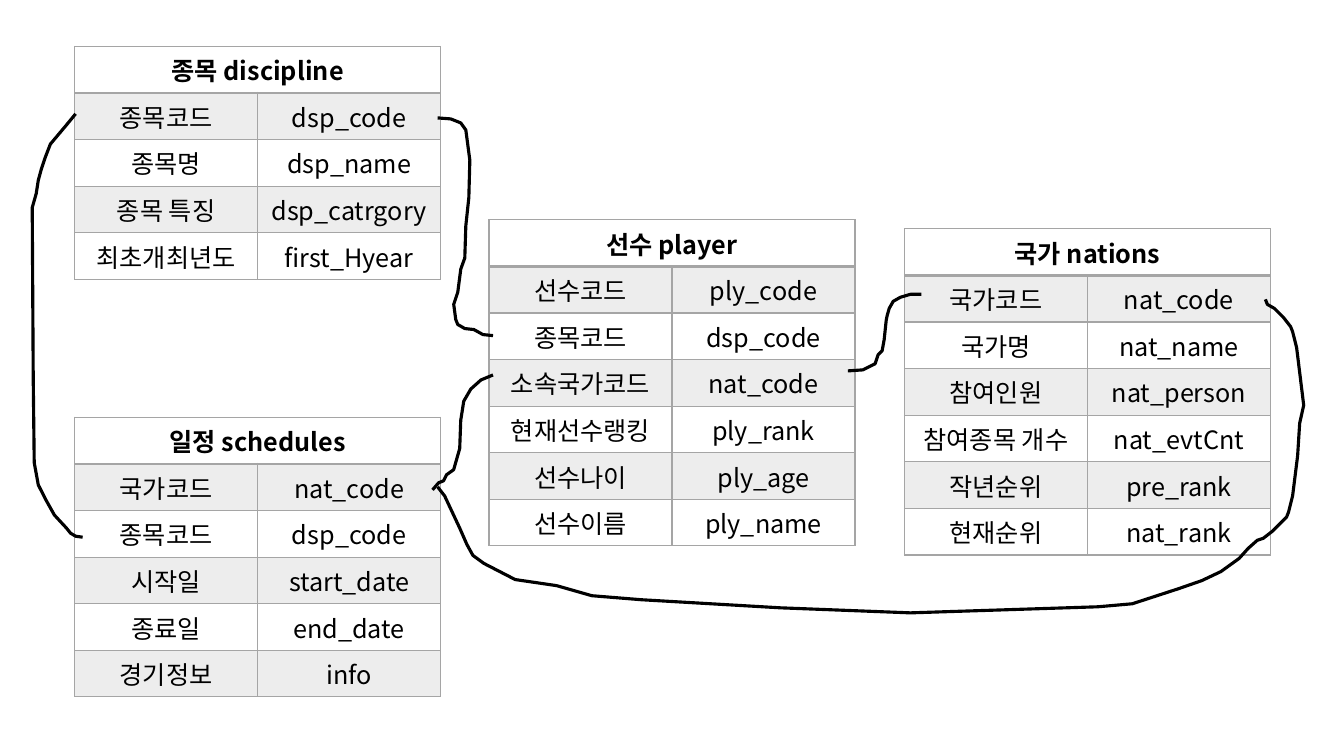
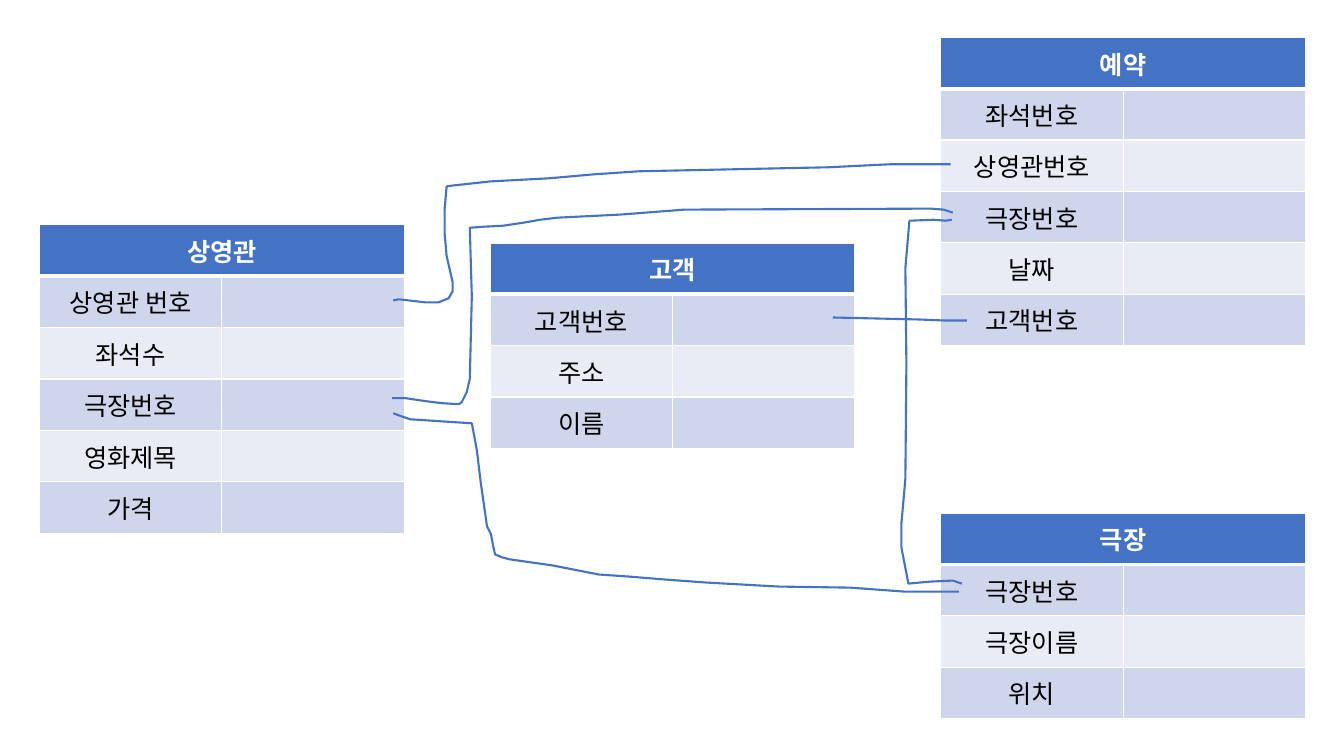
from dataclasses import dataclass

from lxml.etree import SubElement
from pptx import Presentation
from pptx.dml.color import RGBColor
from pptx.enum.text import MSO_ANCHOR, PP_ALIGN
from pptx.oxml.ns import qn
from pptx.slide import Slide
from pptx.table import _Cell
from pptx.util import Inches, Pt

COLORS = {
    "black": "000000",
    "white": "FFFFFF",
    "gray": "A5A5A5",
    "pale_gray": "EDEDED",
    "blue": "4472C4",
    "blue_band": "CFD5EA",
    "pale_blue": "E9EBF5",
}
FONT = "Noto Sans CJK KR"
TEXT_SIZE = 18
Point = tuple[float, float]


@dataclass(frozen=True)
class DiagramStyle:
    table_width: float
    row_height: float
    header_fill: str
    header_text: str
    bands: tuple[str, str]
    border: str
    header_rule: float
    wire_color: str
    wire_width: float


@dataclass(frozen=True)
class Entity:
    title: str
    left: float
    top: float
    fields: list[tuple[str, str]]


@dataclass(frozen=True)
class Diagram:
    style: DiagramStyle
    entities: list[Entity]
    wires: list[list[Point]]


GRAY_STYLE = DiagramStyle(
    3.63, 0.45, "white", "black", ("pale_gray", "white"), "gray", 2, "black", 2.25
)
BLUE_STYLE = DiagramStyle(
    3.62, 0.51, "blue", "white", ("blue_band", "pale_blue"), "white", 3, "blue", 1.5
)


def unnamed(*labels: str) -> list[tuple[str, str]]:
    return [(label, "") for label in labels]


SPORTS = Diagram(
    GRAY_STYLE,
    [
        Entity("종목 discipline", 0.74, 0.46, [
            ("종목코드", "dsp_code"),
            ("종목명", "dsp_name"),
            ("종목 특징", "dsp_catrgory"),
            ("최초개최년도", "first_Hyear"),
        ]),
        Entity("선수 player", 4.85, 2.18, [
            ("선수코드", "ply_code"),
            ("종목코드", "dsp_code"),
            ("소속국가코드", "nat_code"),
            ("현재선수랭킹", "ply_rank"),
            ("선수나이", "ply_age"),
            ("선수이름", "ply_name"),
        ]),
        Entity("국가 nations", 8.97, 2.27, [
            ("국가코드", "nat_code"),
            ("국가명", "nat_name"),
            ("참여인원", "nat_person"),
            ("참여종목 개수", "nat_evtCnt"),
            ("작년순위", "pre_rank"),
            ("현재순위", "nat_rank"),
        ]),
        Entity("일정 schedules", 0.74, 4.14, [
            ("국가코드", "nat_code"),
            ("종목코드", "dsp_code"),
            ("시작일", "start_date"),
            ("종료일", "end_date"),
            ("경기정보", "info"),
        ]),
    ],
    [
        [(0.75, 1.13), (0.66, 1.24), (0.5, 1.43), (0.45, 1.56), (0.41, 1.68),
         (0.38, 1.79), (0.36, 1.92), (0.32, 2.06), (0.33, 3.75), (0.34, 4.59),
         (0.38, 4.81), (0.45, 4.95), (0.54, 5.11), (0.66, 5.24), (0.7, 5.29),
         (0.75, 5.32), (0.82, 5.33)],
        [(4.89, 3.72), (4.77, 3.77), (4.67, 3.86), (4.6, 3.98), (4.57, 4.17),
         (4.56, 4.45), (4.5, 4.66), (4.43, 4.71), (4.4, 4.77), (4.35, 4.79),
         (4.29, 4.86)],
        [(4.34, 4.83), (4.41, 4.92), (4.56, 5.24), (4.63, 5.4), (4.69, 5.51),
         (4.8, 5.59), (5.11, 5.75), (5.52, 5.81), (5.87, 5.91), (6.36, 5.95),
         (7.74, 6.03), (9.03, 6.08), (10.89, 6.02), (11.23, 5.99),
         (11.69, 5.84), (11.92, 5.76), (12.11, 5.67), (12.29, 5.54),
         (12.38, 5.44), (12.47, 5.36), (12.53, 5.34), (12.62, 5.27),
         (12.76, 5.13), (12.78, 5.08), (12.82, 4.92), (12.87, 4.52),
         (12.89, 4.2), (12.93, 4.02), (12.86, 3.45), (12.82, 3.29),
         (12.8, 3.24), (12.73, 3.15), (12.64, 3.06), (12.57, 3.02),
         (12.55, 2.97)],
        [(4.34, 1.17), (4.47, 1.18), (4.57, 1.22), (4.62, 1.29), (4.66, 1.59),
         (4.65, 1.96), (4.62, 2.24), (4.61, 2.56), (4.57, 2.67), (4.54, 2.9),
         (4.5, 3.02), (4.52, 3.17), (4.54, 3.22), (4.61, 3.26), (4.7, 3.27),
         (4.79, 3.32), (4.89, 3.33)],
        [(8.41, 3.68), (8.56, 3.67), (8.68, 3.61), (8.71, 3.52), (8.75, 3.48),
         (8.77, 3.37), (8.79, 3.18), (8.8, 3.13), (8.82, 3.06), (8.86, 2.99),
         (8.93, 2.95), (9.03, 2.92), (9.14, 2.92)],
    ],
)

CINEMA = Diagram(
    BLUE_STYLE,
    [
        Entity("상영관", 0.39, 2.23,
               unnamed("상영관 번호", "좌석수", "극장번호", "영화제목", "가격")),
        Entity("고객", 4.86, 2.41, unnamed("고객번호", "주소", "이름")),
        Entity("예약", 9.33, 0.37,
               unnamed("좌석번호", "상영관번호", "극장번호", "날짜", "고객번호")),
        Entity("극장", 9.33, 5.09, unnamed("극장번호", "극장이름", "위치")),
    ],
    [
        [(9.44, 2.18), (9.38, 2.19), (9.26, 2.18), (9.02, 2.19), (8.98, 2.66),
         (8.99, 3.61), (8.98, 4.75), (8.94, 5.2), (8.94, 5.43), (9.01, 5.79),
         (9.12, 5.78), (9.23, 5.77), (9.45, 5.76), (9.54, 5.79)],
        [(8.26, 3.15), (9.11, 3.17), (9.37, 3.18), (9.59, 3.18)],
        [(9.45, 2.11), (9.36, 2.08), (9.23, 2.07), (6.79, 2.08), (6.14, 2.13),
         (5.53, 2.16), (5.36, 2.18), (5.19, 2.21), (4.99, 2.24), (4.79, 2.25),
         (4.66, 2.26), (4.68, 2.94), (4.66, 3.76), (4.63, 3.89), (4.58, 3.99),
         (4.55, 4.01), (4.38, 4), (4.22, 3.98), (4.02, 3.95), (3.89, 3.95)],
        [(3.9, 4.1), (3.98, 4.13), (4.07, 4.16), (4.68, 4.2), (4.73, 4.47),
         (4.77, 4.8), (4.83, 5.22), (4.87, 5.3), (4.89, 5.41), (4.91, 5.5),
         (4.98, 5.53), (5.06, 5.55), (5.48, 5.61), (5.94, 5.7), (6.23, 5.72),
         (6.6, 5.75), (7.01, 5.78), (7.73, 5.82), (8.43, 5.83), (8.98, 5.87),
         (9.51, 5.87)],
        [(3.9, 2.98), (3.96, 2.97), (4.22, 3), (4.35, 3), (4.45, 2.96),
         (4.49, 2.89), (4.49, 2.8), (4.43, 2.54), (4.41, 2.31), (4.41, 2.08),
         (4.43, 1.85), (4.5, 1.84), (4.87, 1.8), (5.44, 1.77), (5.89, 1.73),
         (6.34, 1.7), (8.22, 1.66), (8.83, 1.63), (9.43, 1.63)],
    ],
)


def rgb(color: str) -> RGBColor:
    return RGBColor.from_string(COLORS[color])


def add_borders(cell: _Cell, color: str, top: float, bottom: float) -> None:
    properties = cell._tc.get_or_add_tcPr()
    for side, width in (("lnL", 1), ("lnR", 1), ("lnT", top), ("lnB", bottom)):
        line = SubElement(properties, qn(f"a:{side}"), w=str(Pt(width)))
        fill = SubElement(line, qn("a:solidFill"))
        SubElement(fill, qn("a:srgbClr"), val=COLORS[color])


def write_cell(cell: _Cell, text: str, color: str, bold: bool) -> None:
    cell.vertical_anchor = MSO_ANCHOR.MIDDLE
    cell.text_frame.text = text
    para = cell.text_frame.paragraphs[0]
    para.alignment = PP_ALIGN.CENTER
    for span in para.runs:
        span.font.size = Pt(TEXT_SIZE)
        span.font.bold = bold
        span.font.color.rgb = rgb(color)
        span.font.name = FONT
        SubElement(span.font._element, qn("a:ea"), typeface=FONT)


def add_entity(page: Slide, entity: Entity, style: DiagramStyle) -> None:
    rows = [(entity.title, ""), *entity.fields]
    table = page.shapes.add_table(
        len(rows), 2, Inches(entity.left), Inches(entity.top),
        Inches(style.table_width), Inches(style.row_height * len(rows)),
    ).table
    table.cell(0, 0).merge(table.cell(0, 1))
    for row, texts in enumerate(rows):
        header = row == 0
        fill = style.header_fill if header else style.bands[(row - 1) % 2]
        top = style.header_rule if row == 1 else 1
        bottom = style.header_rule if header else 1
        for column, text in enumerate(texts):
            cell = table.cell(row, column)
            add_borders(cell, style.border, top, bottom)
            cell.fill.solid()
            cell.fill.fore_color.rgb = rgb(fill)
            if text:
                write_cell(cell, text, style.header_text if header else "black", header)


def add_wire(page: Slide, points: list[Point], style: DiagramStyle) -> None:
    start, *rest = [(Inches(x), Inches(y)) for x, y in points]
    builder = page.shapes.build_freeform(*start)
    builder.add_line_segments(rest, close=False)
    wire = builder.convert_to_shape()
    wire.shadow.inherit = False
    wire.fill.background()
    wire.line.color.rgb = rgb(style.wire_color)
    wire.line.width = Pt(style.wire_width)


def main() -> None:
    deck = Presentation()
    deck.slide_width = Inches(13.33)
    deck.slide_height = Inches(7.5)
    for diagram in (SPORTS, CINEMA):
        page = deck.slides.add_slide(deck.slide_layouts[6])
        for entity in diagram.entities:
            add_entity(page, entity, diagram.style)
        for points in diagram.wires:
            add_wire(page, points, diagram.style)
    deck.save("out.pptx")


if __name__ == "__main__":
    main()
